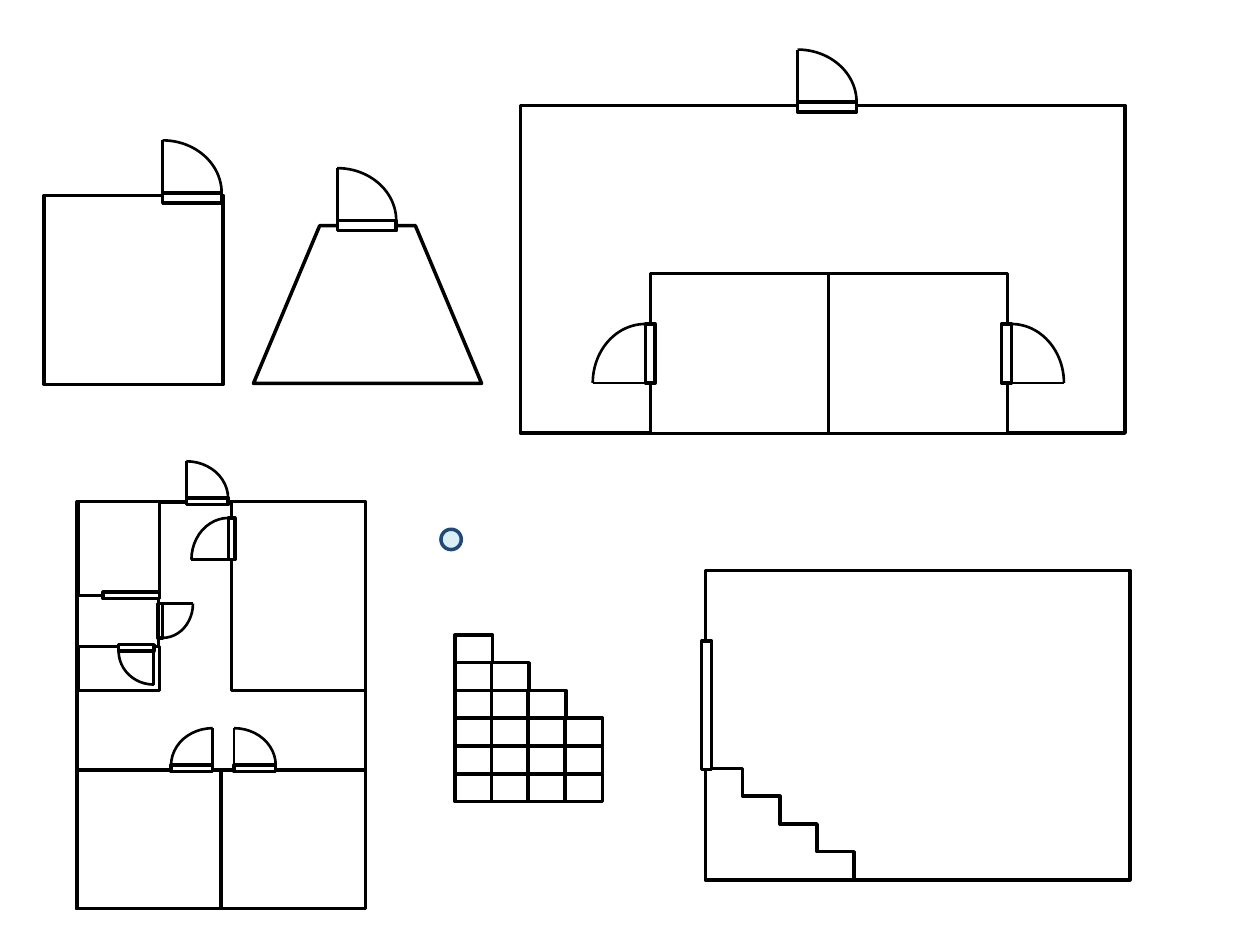
from math import cos, radians, sin

from lxml import etree
from pptx import Presentation
from pptx.dml.color import RGBColor
from pptx.enum.shapes import MSO_CONNECTOR, MSO_SHAPE
from pptx.oxml.ns import qn
from pptx.util import Cm, Pt

RECTANGLE, TRAPEZOID = MSO_SHAPE.RECTANGLE, MSO_SHAPE.TRAPEZOID
ARC, OVAL = MSO_SHAPE.ARC, MSO_SHAPE.OVAL
STRAIGHT = MSO_CONNECTOR.STRAIGHT

COLOURS = {"wall": "000000", "floor": "FFFFFF", "marker": "DBEEF4", "marker_line": "1F497D"}
WALL_WEIGHT, SWING_WEIGHT = 2, 1.5

# Door sizes in cm: opening, sill thickness, leaf length
LARGE = (1.19, 0.2, 1.16)
SMALL = (0.84, 0.13, 0.81)
CLOSET = (0.71, 0.13, 0.74)
BATHROOM = (0.69, 0.1, 0.66)


class FloorPlan:
    """Draws plan elements on one slide; all lengths are in cm."""

    def __init__(self, slide):
        self.slide = slide

    def style(self, shape, fill="floor", line="wall", weight=WALL_WEIGHT):
        shape.shadow.inherit = False
        if fill:
            shape.fill.solid()
            shape.fill.fore_color.rgb = RGBColor.from_string(COLOURS[fill])
        else:
            shape.fill.background()
        shape.line.color.rgb = RGBColor.from_string(COLOURS[line])
        shape.line.width = Pt(weight)
        return shape

    def shape(self, kind, left, top, width, height, **look):
        box = (Cm(left), Cm(top), Cm(width), Cm(height))
        return self.style(self.slide.shapes.add_shape(kind, *box), **look)

    def room(self, left, top, width, height):
        return self.shape(RECTANGLE, left, top, width, height)

    def door(self, x, y, size, rotation=0, flipped=False):
        """Door hinged at (x, y); it opens upwards before rotation."""
        opening, sill, leaf = size
        angle = radians(rotation)
        side = -1 if flipped else 1
        out_x, out_y = sin(angle), -cos(angle)
        along_x, along_y = side * cos(angle), side * sin(angle)
        if rotation == 90 and flipped:
            along_x, along_y = -cos(angle), -sin(angle)
        shapes = self.slide.shapes.add_group_shape().shapes

        def part(kind, centre_x, centre_y, width, height, **look):
            shape = shapes.add_shape(kind, Cm(centre_x - width / 2), Cm(centre_y - height / 2),
                                     Cm(width), Cm(height))
            shape.rotation = rotation
            if flipped:
                shape.element.spPr.get_or_add_xfrm().set("flipH", "1")
            self.style(shape, **look)

        part(RECTANGLE, x + along_x * opening / 2, y + along_y * opening / 2, opening, sill)
        part(ARC, x + out_x * sill / 2, y + out_y * sill / 2, 2 * opening, 2 * leaf - sill,
             fill=None, weight=SWING_WEIGHT)
        line = shapes.add_connector(STRAIGHT, Cm(x), Cm(y),
                                    Cm(x + out_x * leaf), Cm(y + out_y * leaf))
        line.line.color.rgb = RGBColor.from_string(COLOURS["wall"])
        line.line.width = Pt(SWING_WEIGHT)
        etree.SubElement(line.element.spPr, qn("a:effectLst"))

    def stacked_blocks(self, left, top, width, height, pitch, columns, rows):
        """Columns of blocks, each one block lower than the one before."""
        shapes = self.slide.shapes.add_group_shape().shapes
        for column in range(columns):
            for row in range(column, rows):
                self.style(shapes.add_shape(
                    RECTANGLE, Cm(left + column * pitch), Cm(top + row * height),
                    Cm(width), Cm(height)))

    def steps(self, left, top, width, height, count):
        points = []
        for step in range(count):
            right = left + (step + 1) * width
            points += [(right, top + step * height), (right, top + (step + 1) * height)]
        points.append((left, top + count * height))
        builder = self.slide.shapes.build_freeform(Cm(left), Cm(top))
        builder.add_line_segments([(Cm(x), Cm(y)) for x, y in points], close=True)
        self.style(builder.convert_to_shape())


def main():
    presentation = Presentation()
    presentation.slide_width, presentation.slide_height = Cm(25.4), Cm(19.05)
    plan = FloorPlan(presentation.slides.add_slide(presentation.slide_layouts[6]))

    # Square room
    plan.room(0.89, 3.94, 3.61, 3.81)
    plan.door(3.28, 3.99, LARGE)

    # Trapezoid room
    trapezoid = plan.shape(TRAPEZOID, 5.11, 4.55, 4.6, 3.18)
    trapezoid.adjustments[0] = 0.42
    plan.door(6.8, 4.55, LARGE)

    # Hall with two inner rooms
    plan.room(10.49, 2.13, 12.19, 6.6)
    for left in (13.11, 16.7):
        plan.room(left, 5.51, 3.61, 3.23)
    plan.door(16.08, 2.16, LARGE)
    plan.door(13.11, 7.72, LARGE, rotation=270)
    plan.door(20.29, 7.72, LARGE, rotation=90, flipped=True)

    # Flat: outline, then its rooms
    for room in (
        (1.55, 10.12, 5.82, 8.2),
        (4.47, 15.52, 2.9, 2.8),
        (1.55, 15.52, 2.9, 2.8),
        (1.57, 10.11, 1.65, 1.9),
        (1.55, 12.01, 1.65, 1.02),
        (1.57, 13.03, 1.65, 0.89),
        (4.67, 10.11, 2.7, 3.81),
    ):
        plan.room(*room)

    # Flat: sliding door and swing doors
    plan.room(2.08, 11.94, 1.14, 0.13)
    plan.door(3.1, 13.06, CLOSET, rotation=180)
    plan.door(3.23, 12.17, BATHROOM, rotation=90)
    plan.door(4.67, 11.28, SMALL, rotation=270)
    plan.door(4.72, 15.49, SMALL)
    plan.door(4.29, 15.49, SMALL, flipped=True)
    plan.door(3.76, 10.11, SMALL)

    # Round marker
    plan.shape(OVAL, 8.89, 10.67, 0.41, 0.41, fill="marker", line="marker_line")

    # Staircase of blocks
    plan.stacked_blocks(9.17, 12.8, 0.76, 0.56, pitch=0.74, columns=4, rows=6)

    # Room with steps and a window in its left wall
    plan.room(14.22, 11.5, 8.56, 6.24)
    plan.steps(14.22, 15.49, 0.75, 0.56, count=4)
    window = plan.room(12.95, 14.12, 2.59, 0.2)
    window.rotation = 270

    presentation.save("out.pptx")


if __name__ == "__main__":
    main()
